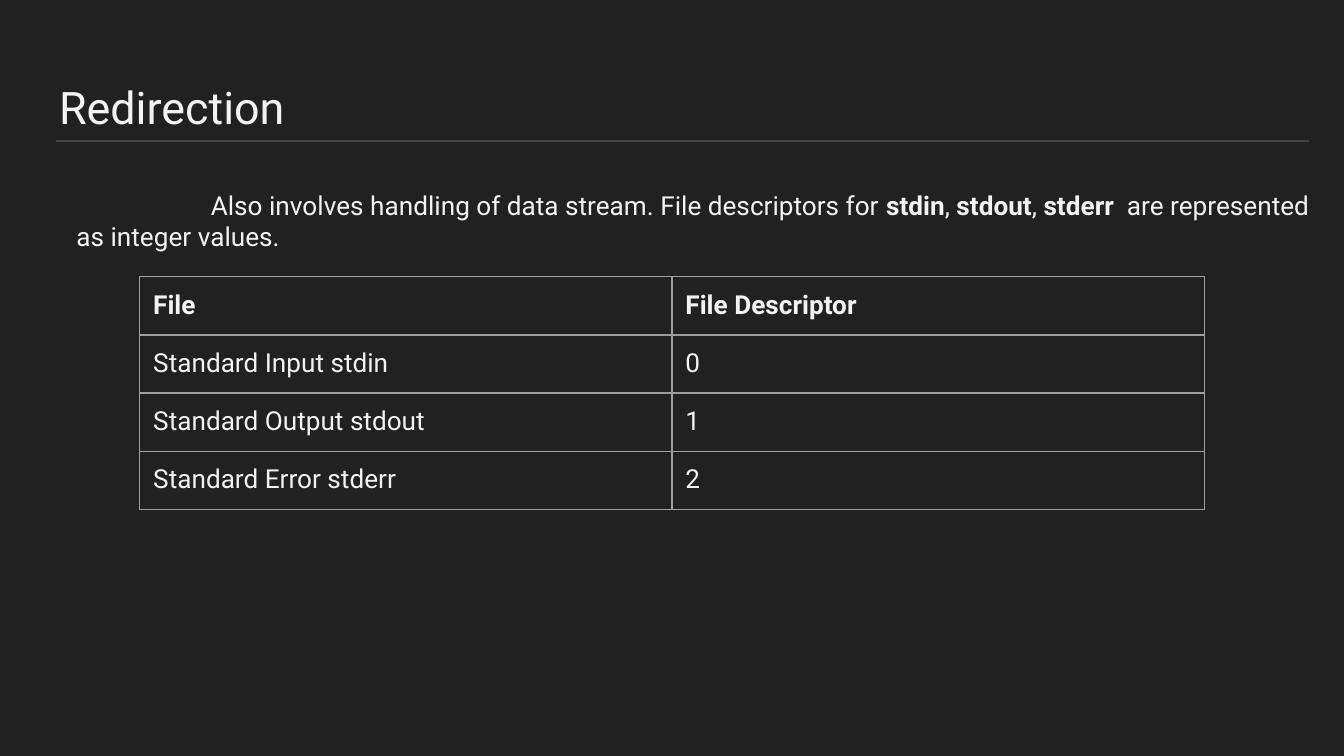
from lxml import etree
from pptx import Presentation
from pptx.dml.color import RGBColor
from pptx.enum.shapes import MSO_CONNECTOR
from pptx.enum.text import MSO_ANCHOR, MSO_AUTO_SIZE, PP_ALIGN
from pptx.oxml.ns import qn
from pptx.util import Inches, Pt

STRAIGHT = MSO_CONNECTOR.STRAIGHT
TOP = MSO_ANCHOR.TOP
NO_AUTOFIT = MSO_AUTO_SIZE.NONE
LEFT = PP_ALIGN.LEFT

FONT = "Roboto"
BACKGROUND, TEXT, RULE, GRID = "212121", "F3F3F3", "434343", "9E9E9E"
PADDING = Inches(0.1)

INTRO = [
    ("Also involves handling of data stream. File descriptors for ", False),
    ("stdin", True),
    (", ", False),
    ("stdout", True),
    (", ", False),
    ("stderr ", True),
    (" are represented as integer values.", False),
]
DESCRIPTORS = [
    ("File", "File Descriptor"),
    ("Standard Input stdin", "0"),
    ("Standard Output stdout", "1"),
    ("Standard Error stderr", "2"),
]


def color(hex_code):
    """Return the colour for a hex string."""
    return RGBColor.from_string(hex_code)


def style_run(run, size, bold=False):
    """Apply the slide's font to a run."""
    run.font.name = FONT
    run.font.size = Pt(size)
    run.font.bold = bold
    run.font.color.rgb = color(TEXT)


def set_padding(box):
    """Give a text frame or a cell equal margins."""
    box.margin_left = box.margin_right = PADDING
    box.margin_top = box.margin_bottom = PADDING


def set_frame(frame):
    """Give a text frame wrapping, padding and a top anchor."""
    frame.word_wrap = True
    frame.auto_size = NO_AUTOFIT
    frame.vertical_anchor = TOP
    set_padding(frame)


def add_heading(slide, left, top, width, height):
    """Place the title and the rule below it."""
    title = slide.shapes.title
    title.left, title.top = Inches(left), Inches(top)
    title.width, title.height = Inches(width), Inches(height)
    set_frame(title.text_frame)
    title.text_frame.text = "Redirection"
    heading = title.text_frame.paragraphs[0]
    heading.alignment = LEFT
    style_run(heading.runs[0], 24)

    rule_y = Inches(top + 0.56)
    rule = slide.shapes.add_connector(
        STRAIGHT, Inches(left + 0.08), rule_y, Inches(left + width + 0.08), rule_y
    )
    rule.line.color.rgb = color(RULE)
    rule.line.width = Pt(0.75)
    etree.SubElement(rule._element.spPr, qn("a:effectLst"))


def add_intro(slide, left, top, width, height):
    """Place the introduction with an indented first line."""
    intro = slide.shapes.add_textbox(
        Inches(left), Inches(top), Inches(width), Inches(height)
    )
    set_frame(intro.text_frame)
    paragraph = intro.text_frame.paragraphs[0]
    properties = paragraph._p.get_or_add_pPr()
    properties.set("marL", "0")
    properties.set("indent", str(Inches(1)))
    for words, bold in INTRO:
        run = paragraph.add_run()
        run.text = words
        style_run(run, 14, bold)


def add_borders(cell):
    """Draw a thin line on all four sides of a cell."""
    properties = cell._tc.get_or_add_tcPr()
    for side in ("a:lnL", "a:lnR", "a:lnT", "a:lnB"):
        border = etree.SubElement(properties, qn(side), w=str(Pt(0.75)))
        fill = etree.SubElement(border, qn("a:solidFill"))
        etree.SubElement(fill, qn("a:srgbClr"), val=GRID)


def add_descriptor_table(slide, left, top, width, height):
    """Place the table of files and their descriptors."""
    table = slide.shapes.add_table(
        len(DESCRIPTORS), len(DESCRIPTORS[0]),
        Inches(left), Inches(top), Inches(width), Inches(height),
    ).table
    table.horz_banding = False
    for row, entries in enumerate(DESCRIPTORS):
        for column, entry in enumerate(entries):
            cell = table.cell(row, column)
            add_borders(cell)
            cell.fill.background()
            set_padding(cell)
            cell.text_frame.text = entry
            style_run(cell.text_frame.paragraphs[0].runs[0], 14, row == 0)


def main():
    """Build and save the slide."""
    deck = Presentation()
    deck.slide_width = Inches(10)
    deck.slide_height = deck.slide_width * 9 // 16
    slide = deck.slides.add_slide(deck.slide_layouts[5])
    slide.background.fill.solid()
    slide.background.fill.fore_color.rgb = color(BACKGROUND)
    add_heading(slide, 0.34, 0.49, 9.32, 0.63)
    add_intro(slide, 0.47, 1.31, 9.52, 0.73)
    add_descriptor_table(slide, 1.04, 2.06, 7.92, 1.73)
    deck.save("out.pptx")


if __name__ == "__main__":
    main()
